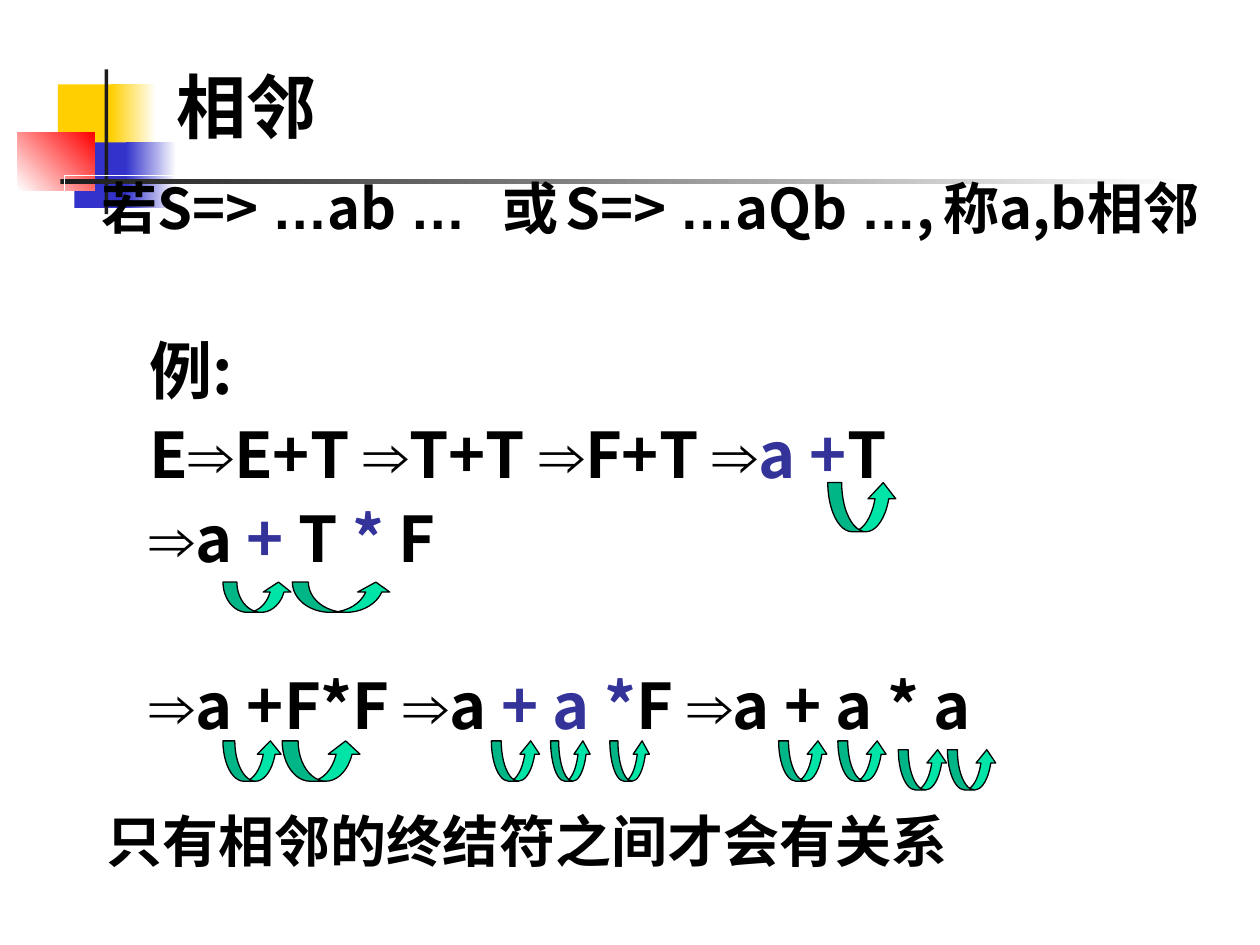
"""Build the slide that explains adjacent terminals in a derivation."""
from dataclasses import dataclass

import pptx
import pptx.dml.color
import pptx.enum.shapes
import pptx.enum.text
import pptx.oxml
import pptx.oxml.ns
import pptx.util
from lxml import etree
from pptx.util import Inches


@dataclass(frozen=True)
class Theme:
    ink: str = "000000"
    accent: str = "333399"
    paper: str = "FFFFFF"
    yellow: str = "FFCF01"
    blue: str = "3333CC"
    red: str = "FF0000"
    rule: str = "1C1C1C"
    arrow: str = "00E4A8"
    font: str = "Noto Sans CJK JP"
    title_font: str = "Noto Sans CJK SC"
    symbol_font: str = "Arial"
    closing_font: str = "Cabin"
    title_size: int = 40
    body_size: int = 32
    example_size: int = 36


THEME = Theme()
SYMBOLS = "…⇒"


def rgb(code):
    return pptx.dml.color.RGBColor.from_string(code)


def add_block(slide, box, start, end=None, angle=0):
    """Add a borderless rectangle, plain or fading from start to end."""
    block = slide.shapes.add_shape(
        pptx.enum.shapes.MSO_SHAPE.RECTANGLE, *map(Inches, box))
    block.shadow.inherit = False
    block.line.fill.background()
    if end is None:
        block.fill.solid()
        block.fill.fore_color.rgb = rgb(start)
        return
    block.fill.gradient()
    block.fill.gradient_angle = angle
    for stop, position, color in zip(block.fill.gradient_stops, (0, 1), (start, end)):
        stop.position = position
        stop.color.rgb = rgb(color)


def add_hop(slide, left, top, width, height):
    """Add a curved arrow that hops from one terminal to the next."""
    hop = slide.shapes.add_shape(
        pptx.enum.shapes.MSO_SHAPE.CURVED_UP_ARROW,
        *map(Inches, (left, top, width, height)))
    hop.shadow.inherit = False
    hop.fill.solid()
    hop.fill.fore_color.rgb = rgb(THEME.arrow)
    hop.line.color.rgb = rgb(THEME.ink)
    hop.line.width = pptx.util.Pt(0.75)
    thickness = min(0.2 * width / height, 0.53) * height / min(width, height)
    for index, value in enumerate((thickness, 2 * thickness, 0.33)):
        hop.adjustments[index] = value


def add_text_frame(slide, box, anchor=pptx.enum.text.MSO_ANCHOR.TOP):
    """Add a wrapping text box and return its frame."""
    frame = slide.shapes.add_textbox(*map(Inches, box)).text_frame
    frame.word_wrap = True
    frame.vertical_anchor = anchor
    return frame


def add_run(paragraph, words, size, font, color=THEME.ink):
    """Add one bold run in the given font and colour."""
    run = paragraph.add_run()
    run.text = words
    run.font.size = pptx.util.Pt(size)
    run.font.bold = True
    run.font.name = font
    run.font.color.rgb = rgb(color)
    if font != THEME.symbol_font:
        east_asian = THEME.title_font if font == THEME.closing_font else font
        etree.SubElement(run.font._element, pptx.oxml.ns.qn("a:ea"), typeface=east_asian)
    return run


def add_formula(paragraph, pieces, size):
    """Add pieces of text, with symbols in their own font and *pairs* accented."""
    for piece in pieces:
        words, color = piece if isinstance(piece, tuple) else (piece, THEME.ink)
        font = THEME.symbol_font if words in SYMBOLS else THEME.font
        add_run(paragraph, words, size, font, color)


def set_indent(paragraph, left, first=0, tabs=()):
    """Set the left margin, first-line indent and tab stops in inches."""
    properties = paragraph._p.get_or_add_pPr()
    properties.set("marL", str(Inches(left)))
    properties.set("indent", str(Inches(first)))
    if tabs:
        stops = etree.SubElement(properties, pptx.oxml.ns.qn("a:tabLst"))
        for position in tabs:
            etree.SubElement(stops, pptx.oxml.ns.qn("a:tab"),
                             pos=str(Inches(position)), algn="l")
    paragraph.line_spacing = 0.9


def add_text_shadow(run):
    """Give a run a small hard shadow."""
    effects = pptx.oxml.parse_xml(
        f'<a:effectLst {pptx.oxml.ns.nsdecls("a")}>'
        '<a:outerShdw dist="25400" dir="2700000">'
        f'<a:srgbClr val="{THEME.rule}"/></a:outerShdw></a:effectLst>')
    run.font._element.find(pptx.oxml.ns.qn("a:latin")).addprevious(effects)


def add_ornament(slide):
    """Add the coloured squares and the two rules beside the title."""
    add_block(slide, (0.46, 0.67, 0.48, 0.52), THEME.yellow)
    add_block(slide, (0.88, 0.67, 0.36, 0.52), THEME.yellow, THEME.paper)
    add_block(slide, (0.59, 1.13, 0.46, 0.52), THEME.blue)
    add_block(slide, (1, 1.13, 0.4, 0.52), THEME.blue, THEME.paper)
    add_block(slide, (0.14, 1.05, 0.61, 0.46), THEME.paper, THEME.red, 45)
    add_block(slide, (0.83, 0.55, 0.03, 1.15), THEME.rule)
    add_block(slide, (0.48, 1.42, 9, 0.04), THEME.rule, THEME.paper)


def add_definition(slide):
    """Add the definition of adjacent terminals."""
    definition = slide.shapes.add_shape(
        pptx.enum.shapes.MSO_SHAPE.RECTANGLE, *map(Inches, (0.51, 1.39, 9.29, 1.26)))
    definition.shadow.inherit = False
    definition.fill.background()
    definition.line.color.rgb = rgb(THEME.paper)
    definition.line.width = pptx.util.Pt(0.25)
    frame = definition.text_frame
    frame.word_wrap = True
    frame.vertical_anchor = pptx.enum.text.MSO_ANCHOR.TOP
    sentence = frame.paragraphs[0]
    sentence.alignment = pptx.enum.text.PP_ALIGN.LEFT
    set_indent(sentence, 0.38, -0.18, (3.7, 4.46, 8.29))
    add_formula(sentence, ("若S=> ", "…", "ab ", "…", "\t或\tS=> ", "…", "aQb ", "…",
                           ",\t称a,b相邻"), THEME.body_size)


def add_derivation(slide):
    """Add the example derivation, one step line per paragraph."""
    accent = THEME.accent
    steps = (
        (0, ("例:",)),
        (9, ("E", "⇒", "E+T ", "⇒", "T+T ", "⇒", "F+T ", "⇒", ("a +", accent), "T")),
        (9, ("⇒", "a ", ("+ ", accent), "T ", ("* ", accent), "F")),
        (57, ("⇒", "a +F*F ", "⇒", "a ", ("+ a *", accent), "F ", "⇒", "a + a * a")),
    )
    frame = add_text_frame(slide, (0.59, 2.65, 8.75, 3.3))
    for index, (gap, pieces) in enumerate(steps):
        step = frame.add_paragraph() if index else frame.paragraphs[0]
        set_indent(step, 0.5)
        if gap:
            step.space_before = pptx.util.Pt(gap)
        add_formula(step, pieces, THEME.example_size)


def main():
    deck = pptx.Presentation()
    deck.slide_width, deck.slide_height = Inches(10), Inches(7.5)
    slide = deck.slides.add_slide(deck.slide_layouts[6])
    add_ornament(slide)

    title = add_text_frame(slide, (0.75, 0.21, 8.5, 1.25), pptx.enum.text.MSO_ANCHOR.MIDDLE)
    title.margin_left = Inches(0.65)
    add_run(title.paragraphs[0], "相邻", THEME.title_size, THEME.title_font)
    add_definition(slide)
    add_derivation(slide)

    add_hop(slide, 6.57, 3.83, 0.55, 0.39)
    for left, width in ((1.77, 0.55), (2.32, 0.79)):
        add_hop(slide, left, 4.62, width, 0.24)
    for left, width in ((1.77, 0.47), (2.24, 0.63), (3.9, 0.39), (4.37, 0.32),
                        (4.84, 0.32), (6.18, 0.39), (6.65, 0.39)):
        add_hop(slide, left, 5.88, width, 0.32)
    for left in (7.13, 7.52):
        add_hop(slide, left, 5.95, 0.39, 0.32)

    closing = add_text_frame(slide, (0.75, 6.35, 7.79, 0.64))
    add_text_shadow(add_run(closing.paragraphs[0], "只有相邻的终结符之间才会有关系",
                            THEME.body_size, THEME.closing_font))
    deck.save("out.pptx")


if __name__ == "__main__":
    main()
